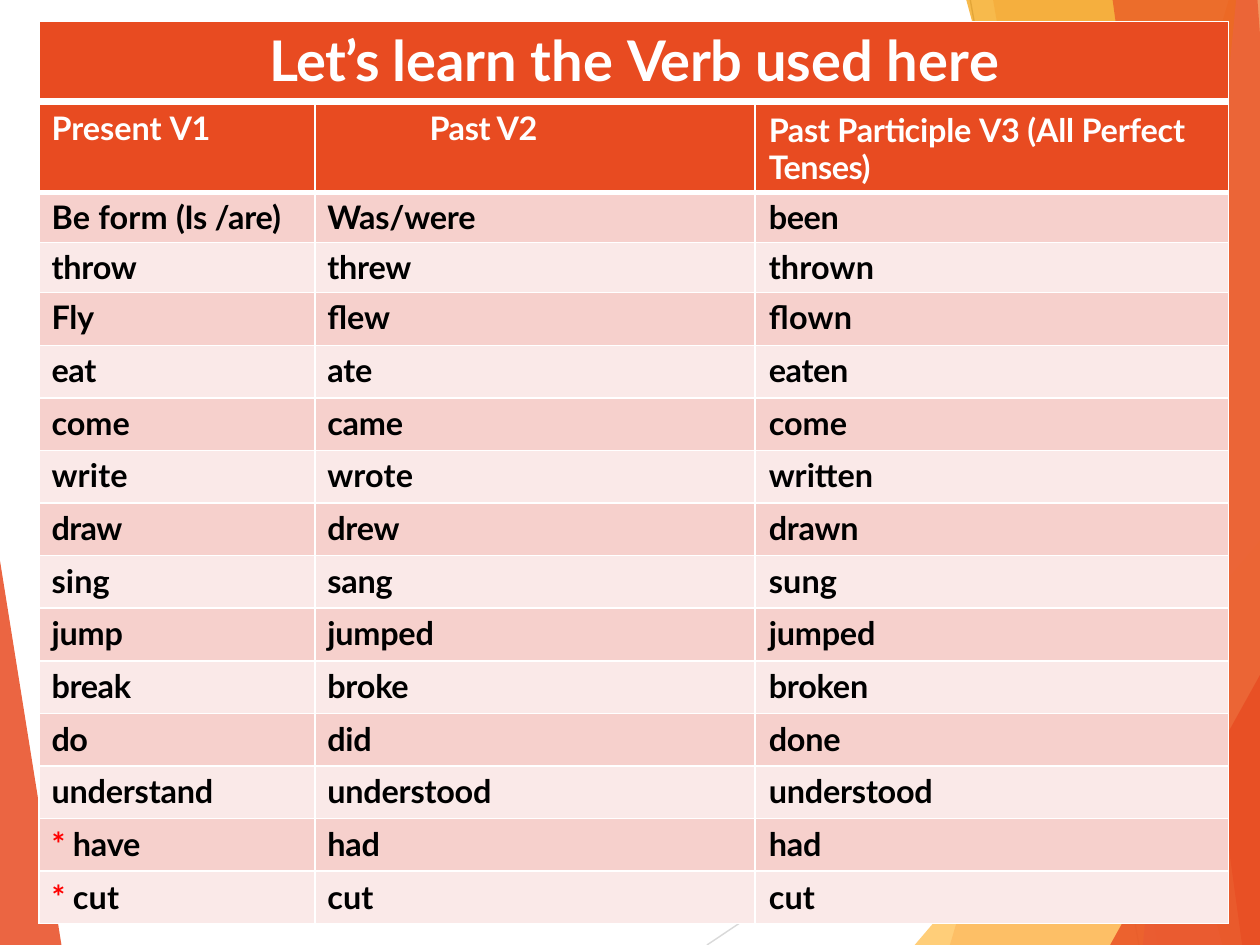
from lxml import etree
from pptx import Presentation
from pptx.dml.color import RGBColor
from pptx.enum.shapes import MSO_CONNECTOR
from pptx.enum.text import PP_ALIGN
from pptx.oxml.ns import qn
from pptx.util import Cm, Pt

STRAIGHT = MSO_CONNECTOR.STRAIGHT
CENTER = PP_ALIGN.CENTER
LEFT = PP_ALIGN.LEFT

WHITE = RGBColor(0xFF, 0xFF, 0xFF)
BLACK = RGBColor(0x00, 0x00, 0x00)
RED = RGBColor(0xFF, 0x00, 0x00)
ORANGE = RGBColor(0xE8, 0x4B, 0x21)
SALMON = RGBColor(0xF0, 0x93, 0x79)
AMBER = RGBColor(0xF4, 0x9D, 0x00)
YELLOW = RGBColor(0xFF, 0xBC, 0x46)
ROSE = RGBColor(0xF6, 0xD0, 0xCC)
BLUSH = RGBColor(0xFA, 0xE9, 0xE8)
LIGHT_GREY = RGBColor(0xD9, 0xD9, 0xD9)
GREY = RGBColor(0xBE, 0xBE, 0xBE)

FONT = "Lato"
PAGE_W, PAGE_H = 25.4, 19.05
THIN, HEADER_RULE, TITLE_RULE = 1, 3, 4.25

RAYS = [
    (LIGHT_GREY, (14.25, PAGE_H), (PAGE_W, 11.61)),
    (GREY, (19.56, 0), (22.96, PAGE_H)),
]
LEFT_FACET = (ORANGE, 85, [(0, 11.3), (0, PAGE_H), (1.24, PAGE_H)])
CORNER = (PAGE_W, PAGE_H)
RIGHT_FACETS = [
    (ORANGE, 30, [(24.77, 0), (19.15, PAGE_H), CORNER, (PAGE_W, 0)]),
    (ORANGE, 20, [(PAGE_W, 0), (20.02, 0), (23.34, PAGE_H), CORNER]),
    (YELLOW, 72, [(PAGE_W, 10.9), (18.44, PAGE_H), CORNER]),
    (AMBER, 70, [(PAGE_W, 0), (19.48, 0), (24.64, PAGE_H), CORNER]),
    (SALMON, 70, [(PAGE_W, 0), (24.92, 0), (23.04, PAGE_H), CORNER]),
    (ORANGE, 65, [(25.35, 0), (22.43, 0), (25.04, PAGE_H), CORNER, (PAGE_W, 0.69)]),
    (ORANGE, 80, [(PAGE_W, 13.61), (22.38, PAGE_H), CORNER]),
]

TITLE = [("Let’s ", -0.5), ("learn ", -0.1), ("the ", 0.1), ("Verb ", -0.4),
         ("used ", 0), ("here", 0.1)]
HEADINGS = [
    [("Present ", 0), ("V1", -0.2)],
    [("Past V2", -0.2)],
    [("Past ", -0.2), ("Participle ", -0.1), ("V3 ", -0.2),
     ("(All Perfect ", -0.1), ("Tenses)", -0.3)],
]
VERBS = [
    [[("Be form ", 0.1), ("(Is ", -0.3), ("/are)", -0.1)], [("Was/were", -0.1)], [("been", -0.2)]],
    [[("throw", -0.1)], [("threw", -0.1)], [("thrown", 0.1)]],
    [[("Fly", -0.1)], [("flew", 0)], [("flown", 0.2)]],
    [[("eat", -0.2)], [("ate", -0.1)], [("eaten", -0.2)]],
    [[("come", 0)], [("came", -0.1)], [("come", 0)]],
    [[("write", 0.1)], [("wrote", 0.1)], [("written", 0)]],
    [[("draw", -0.3)], [("drew", -0.1)], [("drawn", -0.1)]],
    [[("sing", 0.1)], [("sang", -0.1)], [("sung", 0.1)]],
    [[("jump", -0.1)], [("jumped", -0.1)], [("jumped", -0.1)]],
    [[("break", -0.2)], [("broke", -0.1)], [("broken", -0.1)]],
    [[("do", -0.3)], [("did", -0.1)], [("done", -0.1)]],
    [[("understand", -0.1)], [("understood", -0.1)], [("understood", -0.1)]],
    [[("* ", -0.1), ("have", -0.1)], [("had", -0.1)], [("had", -0.1)]],
    [[("* ", -0.1), ("cut", 0.1)], [("cut", 0.1)], [("cut", 0.1)]],
]
COLUMNS = [5.56, 8.87, 9.55]
ROWS = [1.62, 1.83, 1.01, 1.01] + [1.06] * 12
HEADING_INDENTS = [0.25, 2.31, 0.28]
VERB_INDENTS = [0.25, 0.25, 0.28]


def add_facet(page, left, top, color, opacity, corners):
    points = [(Cm(left + x), Cm(top + y)) for x, y in corners]
    builder = page.shapes.build_freeform(*points[0])
    builder.add_line_segments(points[1:], close=True)
    facet = builder.convert_to_shape()
    facet.shadow.inherit = False
    facet.line.fill.background()
    facet.fill.solid()
    facet.fill.fore_color.rgb = color
    tint = facet.fill._xPr.find(qn("a:solidFill"))[0]
    etree.SubElement(tint, qn("a:alpha"), val=str(opacity * 1000))


def add_ray(page, left, top, color, start, end):
    ray = page.shapes.add_connector(
        STRAIGHT, Cm(left + start[0]), Cm(top + start[1]),
        Cm(left + end[0]), Cm(top + end[1]))
    ray.line.color.rgb = color
    ray.line.width = Pt(0.8)
    etree.SubElement(ray._element.spPr, qn("a:effectLst"))


def add_backdrop(page, left, top):
    add_facet(page, left, top, *LEFT_FACET)
    for ray in RAYS:
        add_ray(page, left, top, *ray)
    for facet in RIGHT_FACETS:
        add_facet(page, left, top, *facet)


def set_borders(cell, top, bottom):
    properties = cell._tc.get_or_add_tcPr()
    sides = [("L", THIN), ("R", THIN), ("T", top), ("B", bottom)]
    for position, (side, width) in enumerate(sides):
        border = etree.Element(qn(f"a:ln{side}"), w=str(Pt(width)))
        fill = etree.SubElement(border, qn("a:solidFill"))
        etree.SubElement(fill, qn("a:srgbClr"), val=str(WHITE))
        properties.insert(position, border)


def fill_cell(cell, runs, fill, color, size, space, indent, rules, align=LEFT):
    cell.fill.solid()
    cell.fill.fore_color.rgb = fill
    set_borders(cell, *rules)
    cell.margin_left = cell.margin_right = cell.margin_bottom = 0
    cell.margin_top = Pt(space)
    para = cell.text_frame.paragraphs[0]
    para.alignment = align
    para.space_before = Pt(space)
    para._p.get_or_add_pPr().set("marL", str(Cm(indent)))
    for text, spacing in runs:
        span = para.add_run()
        span.text = text
        span.font.name = FONT
        span.font.size = Pt(size)
        span.font.bold = True
        span.font.color.rgb = RED if text == "* " else color
        span._r.get_or_add_rPr().set("spc", str(round(spacing * 100)))
    return para


def add_verb_table(page, left, top, width, height):
    frame = page.shapes.add_table(
        len(ROWS), len(COLUMNS), Cm(left), Cm(top), Cm(width), Cm(height))
    table = frame.table
    for column, size in zip(table.columns, COLUMNS):
        column.width = Cm(size)
    for row, size in zip(table.rows, ROWS):
        row.height = Cm(size)

    table.cell(0, 0).merge(table.cell(0, 2))
    fill_cell(table.cell(0, 0), TITLE, ORANGE, WHITE, 32, 2.9, 0.02,
              (THIN, TITLE_RULE), CENTER)
    for index, runs in enumerate(HEADINGS):
        last = index == len(HEADINGS) - 1
        para = fill_cell(table.cell(1, index), runs, ORANGE, WHITE, 18.5,
                         5.5 if last else 4.2, HEADING_INDENTS[index],
                         (TITLE_RULE, HEADER_RULE))
        if last:
            para.line_spacing = Pt(21.6)
    for number, forms in enumerate(VERBS):
        fill = BLUSH if number % 2 else ROSE
        rules = (THIN if number else HEADER_RULE, THIN)
        for index, runs in enumerate(forms):
            fill_cell(table.cell(number + 2, index), runs, fill, BLACK, 18.5,
                      2.85 + 0.05 * number, VERB_INDENTS[index], rules)


def main():
    deck = Presentation()
    deck.slide_width = Cm(PAGE_W)
    deck.slide_height = Cm(PAGE_H)
    page = deck.slides.add_slide(deck.slide_layouts[6])
    add_backdrop(page, 0, 0)
    add_verb_table(page, 0.79, 0.43, sum(COLUMNS), sum(ROWS))
    deck.save("out.pptx")


if __name__ == "__main__":
    main()
